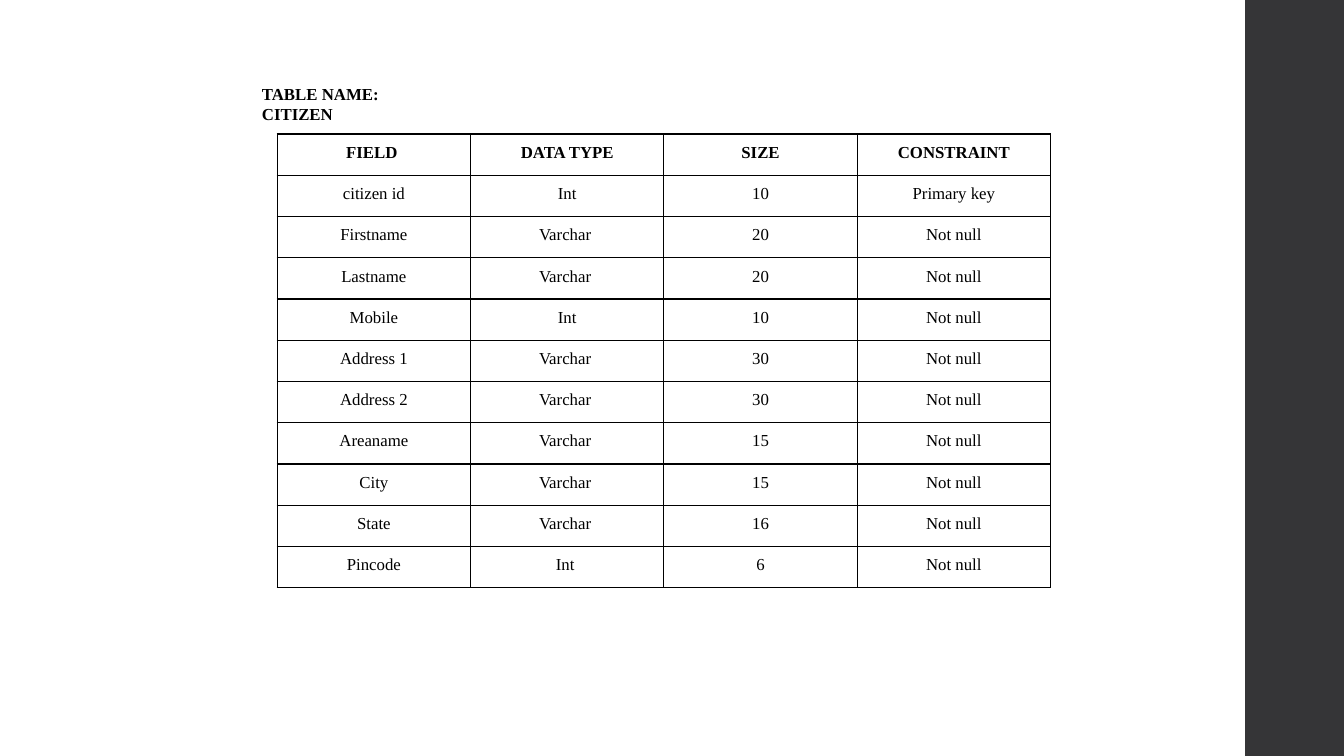
from lxml import etree
from pptx import Presentation
from pptx.dml.color import RGBColor
from pptx.enum.shapes import MSO_SHAPE
from pptx.enum.text import MSO_ANCHOR, PP_ALIGN
from pptx.oxml.ns import qn
from pptx.util import Inches, Pt

RECTANGLE = MSO_SHAPE.RECTANGLE
MIDDLE = MSO_ANCHOR.MIDDLE
CENTER = PP_ALIGN.CENTER
BLACK = "000000"

FIELDS = [
    ("FIELD ", "DATA TYPE", "SIZE", "CONSTRAINT"),
    ("citizen id", "Int", "10", "Primary key"),
    ("Firstname", "Varchar ", "20", "Not null"),
    ("Lastname", "Varchar ", "20", "Not null"),
    ("Mobile", "Int", "10", "Not null"),
    ("Address 1", "Varchar ", "30", "Not null"),
    ("Address 2", "Varchar ", "30", "Not null"),
    ("Areaname", "Varchar ", "15", "Not null"),
    ("City", "Varchar ", "15", "Not null"),
    ("State", "Varchar ", "16", "Not null"),
    ("Pincode", "Int ", "6", "Not null"),
]


def color(hex_string):
    return RGBColor.from_string(hex_string)


def style_text(paragraph, bold):
    paragraph.font.name = "Times New Roman"
    paragraph.font.size = Pt(12)
    paragraph.font.bold = bold
    paragraph.font.color.rgb = color(BLACK)


presentation = Presentation()
presentation.slide_width = Inches(13.33)
presentation.slide_height = Inches(7.5)
slide = presentation.slides.add_slide(presentation.slide_layouts[6])

# Dark strip along the right edge
strip = slide.shapes.add_shape(
    RECTANGLE, Inches(12.35), 0, Inches(0.98), Inches(7.5))
strip.shadow.inherit = False
strip.fill.solid()
strip.fill.fore_color.rgb = color("353537")
strip.line.fill.background()

# Table of fields
table = slide.shapes.add_table(
    len(FIELDS), len(FIELDS[0]),
    Inches(2.75), Inches(1.33), Inches(7.67), Inches(4.5)).table
table.first_row = False
table.horz_banding = False

for row, values in enumerate(FIELDS):
    for column, value in enumerate(values):
        cell = table.cell(row, column)
        cell.margin_left = cell.margin_right = Inches(0.07)
        cell.margin_top = cell.margin_bottom = 0
        cell.text = value
        paragraph = cell.text_frame.paragraphs[0]
        paragraph.alignment = CENTER
        paragraph.line_spacing = 1.5
        style_text(paragraph, bold=row == 0)

        # Borders come before the fill in the cell properties
        properties = cell._tc.get_or_add_tcPr()
        for side in ("a:lnL", "a:lnR", "a:lnT", "a:lnB"):
            border = etree.SubElement(properties, qn(side), w=str(Pt(1)))
            border_fill = etree.SubElement(border, qn("a:solidFill"))
            etree.SubElement(border_fill, qn("a:srgbClr"), val=BLACK)
        cell.fill.background()

# Table caption
caption = slide.shapes.add_textbox(
    Inches(2.5), Inches(0.78), Inches(2), Inches(0.5))
caption.text_frame.word_wrap = True
caption.text_frame.vertical_anchor = MIDDLE
caption.text_frame.text = "TABLE NAME: CITIZEN"
style_text(caption.text_frame.paragraphs[0], bold=True)

presentation.save("out.pptx")
